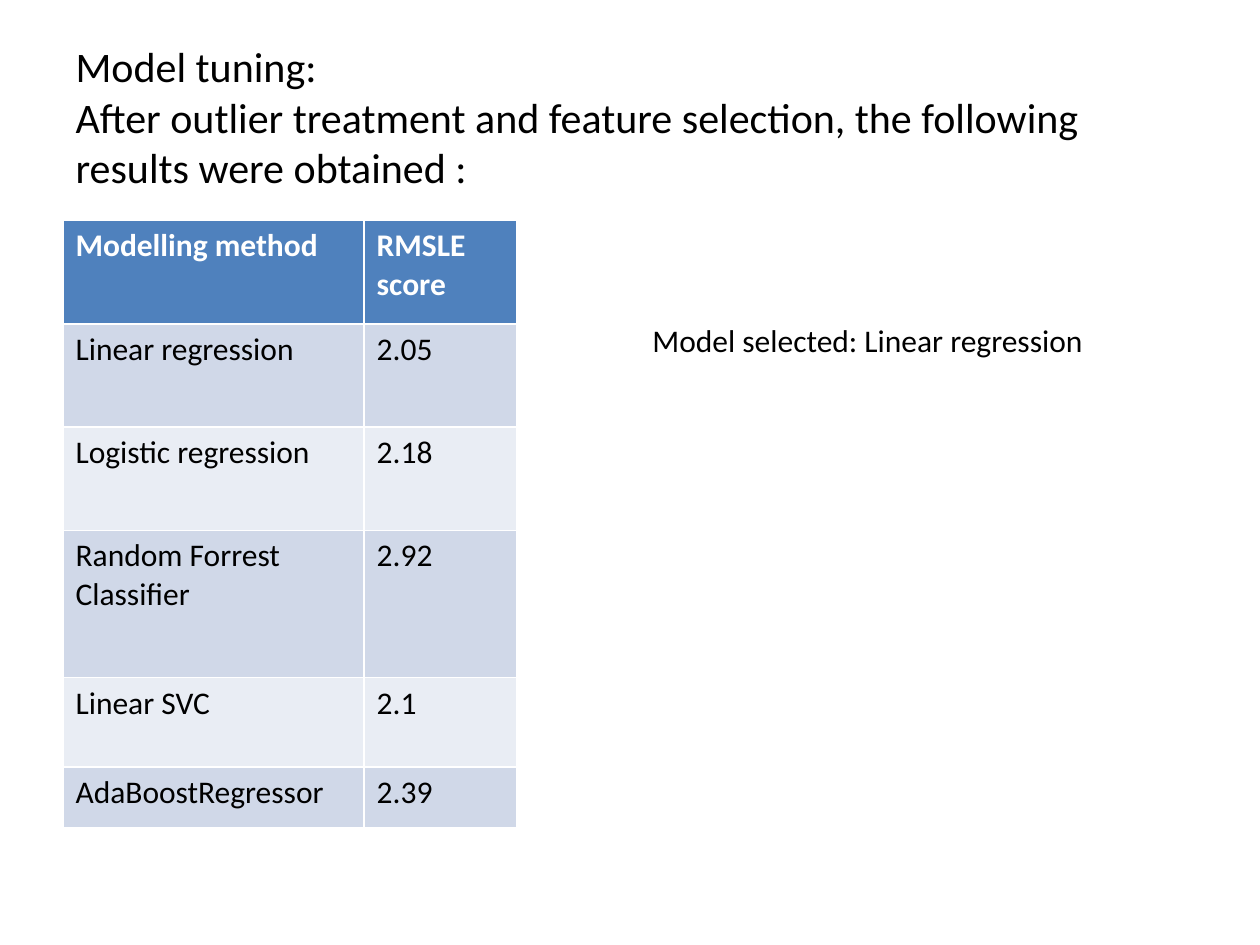
from pptx import Presentation
from pptx.dml.color import RGBColor
from pptx.enum.text import MSO_ANCHOR, MSO_AUTO_SIZE, PP_ALIGN
from pptx.util import Inches, Pt

COLORS = {"text": "000000", "header_text": "FFFFFF", "header": "4F81BD",
          "band_dark": "D0D8E8", "band_light": "E9EDF4"}
FONT = "Calibri"

RESULTS = [
    ("Modelling method", "RMSLE score"),
    ("Linear regression", "2.05"),
    ("Logistic regression", "2.18"),
    ("Random Forrest Classifier", "2.92"),
    ("Linear SVC", "2.1"),
    ("AdaBoostRegressor", "2.39"),
]
COL_WIDTHS = [2.39, 1.21]
ROW_HEIGHTS = [0.82, 0.82, 0.82, 1.17, 0.71, 0.48]


def write(tf, text, size=18, color="text", bold=False, align=PP_ALIGN.LEFT):
    """Put one paragraph of formatted text in a text frame."""
    p = tf.paragraphs[0]
    p.text = text
    p.alignment = align
    for r in p.runs:
        r.font.name = FONT
        r.font.size = Pt(size)
        r.font.bold = bold
        r.font.color.rgb = RGBColor.from_string(COLORS[color])


def add_title(s, text, left, top, width, height):
    title = s.shapes.title
    title.left, title.top = Inches(left), Inches(top)
    title.width, title.height = Inches(width), Inches(height)
    tf = title.text_frame
    tf.auto_size = MSO_AUTO_SIZE.NONE
    tf.vertical_anchor = MSO_ANCHOR.MIDDLE
    write(tf, text, size=24)


def add_results_table(s, left, top):
    # The default table style supplies the white cell borders
    table = s.shapes.add_table(
        len(RESULTS), len(COL_WIDTHS), Inches(left), Inches(top),
        Inches(sum(COL_WIDTHS)), Inches(sum(ROW_HEIGHTS))).table
    for col, width in zip(table.columns, COL_WIDTHS):
        col.width = Inches(width)
    for i, (row, height, values) in enumerate(zip(table.rows, ROW_HEIGHTS, RESULTS)):
        row.height = Inches(height)
        header = i == 0
        fill = "header" if header else "band_dark" if i % 2 else "band_light"
        for cell, value in zip(row.cells, values):
            cell.fill.solid()
            cell.fill.fore_color.rgb = RGBColor.from_string(COLORS[fill])
            write(cell.text_frame, value, bold=header,
                  color="header_text" if header else "text")


def add_conclusion(s, text, left, top, width, height):
    box = s.shapes.add_textbox(Inches(left), Inches(top), Inches(width), Inches(height))
    tf = box.text_frame
    tf.word_wrap = False
    tf.auto_size = MSO_AUTO_SIZE.SHAPE_TO_FIT_TEXT
    write(tf, text)


def main():
    prs = Presentation()
    prs.slide_width, prs.slide_height = Inches(10), Inches(7.5)
    s = prs.slides.add_slide(prs.slide_layouts[5])  # title only
    add_title(s, "Model tuning:\vAfter outlier treatment and feature selection, "
              "the following results were obtained :", 0.5, 0.3, 9, 1.25)
    add_results_table(s, 0.5, 1.75)
    add_conclusion(s, "Model selected: Linear regression", 5.08, 2.5, 3.66, 0.4)
    prs.save("out.pptx")


if __name__ == "__main__":
    main()
